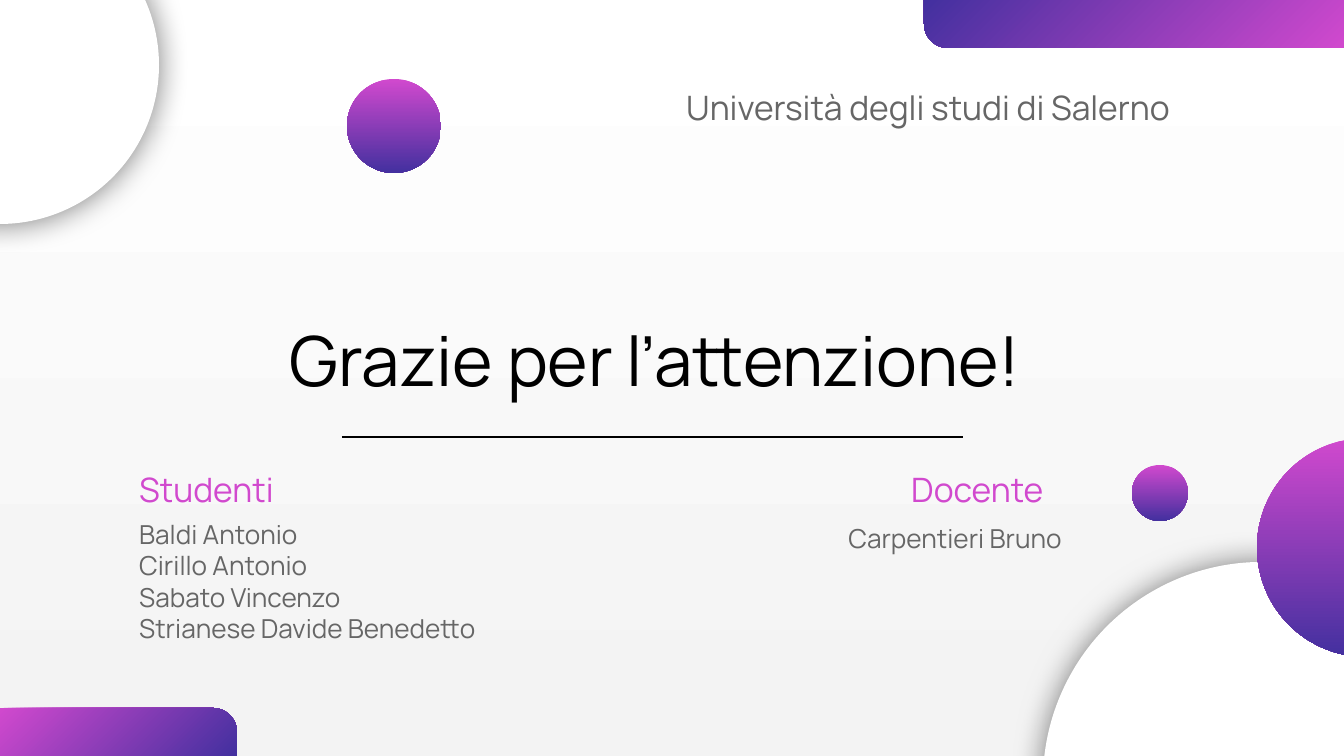
"""Build the closing slide: title, students, teacher and round gradient decor."""
import pptx
import pptx.dml.color
import pptx.enum.shapes
import pptx.enum.text
import pptx.oxml
import pptx.oxml.ns
import pptx.util

SCALE = 914400 / 134.4
RGB = pptx.dml.color.RGBColor.from_string
KIND = pptx.enum.shapes.MSO_SHAPE
ALIGN = pptx.enum.text.PP_ALIGN
ANCHOR = pptx.enum.text.MSO_ANCHOR
THEME = {
    "font": "Manrope",
    "pink": "D149CE", "blue": "43309F", "white": "FFFFFF",
    "pale": "F3F3F3", "black": "000000", "grey": "666666",
    "title": 37, "head": 18, "body": 14, "rule": 0.75,
}
SHADOW = (
    f'<a:outerShdw {pptx.oxml.ns.nsdecls("a")} blurRad="{pptx.util.Pt(16.9)}" dist="0" '
    f'algn="ctr" rotWithShape="0"><a:srgbClr val="{THEME["black"]}">'
    '<a:alpha val="50000"/></a:srgbClr></a:outerShdw>'
)


def px(*sizes):
    """Turn px lengths into EMU."""
    return [pptx.util.Emu(round(size * SCALE)) for size in sizes]


def blend(fill, first, last, angle):
    """Give a fill a two-stop gradient."""
    fill.gradient()
    fill.gradient_angle = angle
    for stop, name in zip(fill.gradient_stops, (first, last)):
        stop.color.rgb = RGB(THEME[name])


deck = pptx.Presentation()
deck.slide_width, deck.slide_height = px(1344, 756)
slide = deck.slides.add_slide(deck.slide_layouts[6])
blend(slide.background.fill, "white", "pale", 270)

for box, turn in [((0, 708, 237, 48), 0), ((924, 0, 420, 48), 180)]:
    bar = slide.shapes.add_shape(KIND.ROUND_1_RECTANGLE, *px(*box))
    bar.adjustments[0] = 0.5
    bar.rotation = turn
    bar.shadow.inherit = False
    bar.line.fill.background()
    blend(bar.fill, "pink", "blue", 315)

discs = [
    (1043, 562, 438, "white"),
    (1132, 465, 56, "blend"),
    (1257, 438, 219, "blend"),
    (-159, -94, 318, "white"),
    (347, 79, 94, "blend"),
]
for left, top, size, look in discs:
    disc = slide.shapes.add_shape(KIND.OVAL, *px(left, top, size, size))
    disc.shadow.inherit = False
    disc.line.fill.background()
    if look == "blend":
        blend(disc.fill, "pink", "blue", 270)
    else:
        disc.fill.solid()
        disc.fill.fore_color.rgb = RGB(THEME[look])
        glow = disc._element.spPr.find(pptx.oxml.ns.qn("a:effectLst"))
        glow.append(pptx.oxml.parse_xml(SHADOW))

rule = slide.shapes.add_connector(
    pptx.enum.shapes.MSO_CONNECTOR.STRAIGHT, *px(342, 437, 963, 437))
rule.line.color.rgb = RGB(THEME["black"])
rule.line.width = pptx.util.Pt(THEME["rule"])
rule._element.spPr.append(
    pptx.oxml.parse_xml(f'<a:effectLst {pptx.oxml.ns.nsdecls("a")}/>'))

names = ["Baldi Antonio", "Cirillo Antonio", "Sabato Vincenzo", "Strianese Davide Benedetto"]
low = {"vertical_anchor": ANCHOR.BOTTOM}
tight = {"line_spacing": 0.9}
texts = [
    ((83, 238, 1144, 177), ["Grazie per l’attenzione!"], "title", "black", low,
     {"alignment": ALIGN.CENTER, **tight}, {}),
    ((653, 73, 575, 70), ["Università degli studi di Salerno"], "head", "grey", {}, {},
     {"marL": 67, "indent": -47}),
    ((126, 465, 177, 58), ["Studenti"], "head", "pink", low, tight, {}),
    ((898, 465, 177, 58), ["Docente"], "head", "pink", low, tight, {}),
    ((126, 505, 438, 190), names, "body", "grey", {}, {}, {}),
    ((705, 509, 370, 62), ["Carpentieri Bruno"], "body", "grey", {},
     {"alignment": ALIGN.RIGHT}, {}),
]
inset = pptx.util.Inches(0.1)
sides = {f"margin_{side}": inset for side in ("left", "top", "right", "bottom")}
for box, lines, size, color, hold, style, indent in texts:
    frame = slide.shapes.add_textbox(*px(*box)).text_frame
    for key, value in {"word_wrap": True, "vertical_anchor": ANCHOR.TOP, **sides, **hold}.items():
        setattr(frame, key, value)
    frame.text = "\n".join(lines)
    for para in frame.paragraphs:
        for key, value in style.items():
            setattr(para, key, value)
        for key, value in indent.items():
            para._p.get_or_add_pPr().set(key, str(px(value)[0]))
        font = para.runs[0].font
        for key, value in {"name": THEME["font"], "size": pptx.util.Pt(THEME[size])}.items():
            setattr(font, key, value)
        font.color.rgb = RGB(THEME[color])

deck.save("out.pptx")
